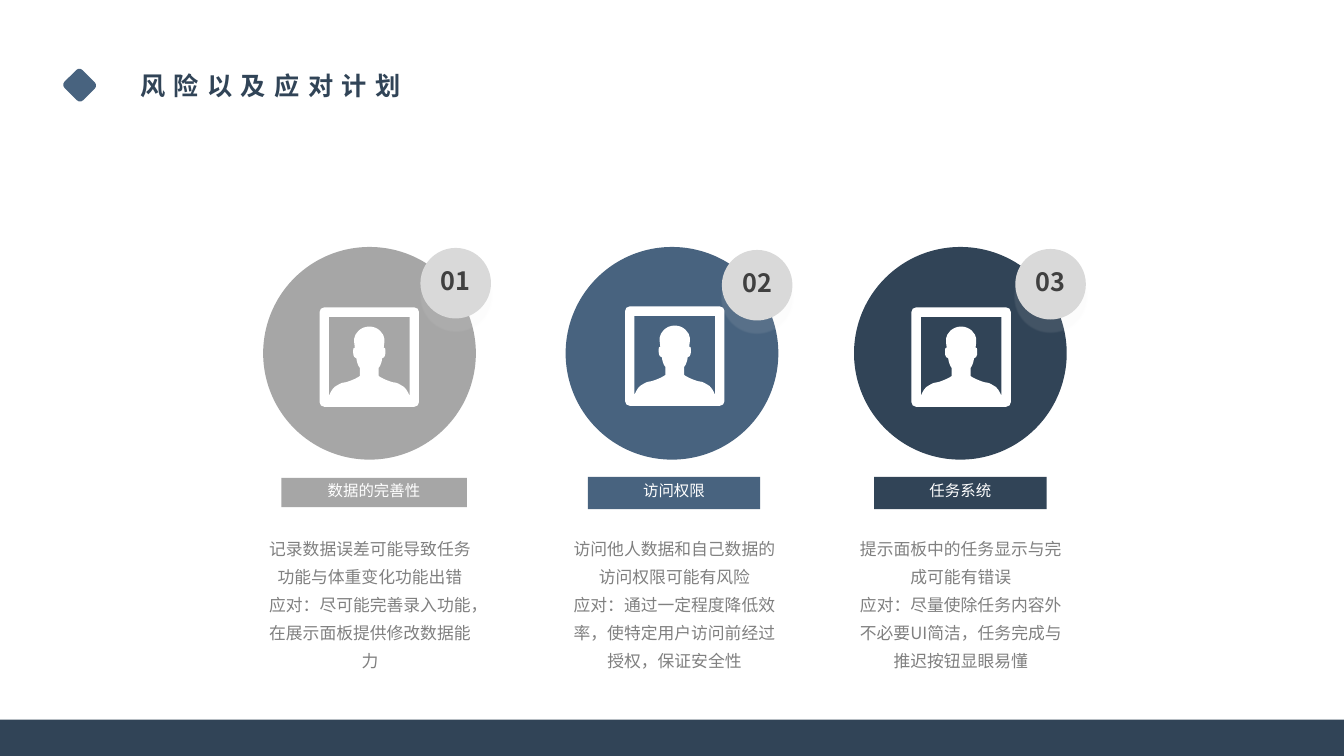
"""Builds a slide with three risks, each with its countermeasure."""
from lxml import etree
from pptx import Presentation
from pptx import util as u
from pptx.dml.color import RGBColor
from pptx.enum import shapes, text
from pptx.oxml import ns

FONT = "Noto Sans CJK SC"
NAVY, BLUE, GRAY = "314457", "48637F", "A6A6A6"
WHITE, SILVER, CHARCOAL, BODY = "FFFFFF", "D9D9D9", "404040", "808080"
ICON_WIDTH = 98.6

FRAME_HALF = [
    [(4.6, 0)], [(2, 0), (0, 2), (0, 4.6)], [(0, 94)],
    [(0, 96.6), (2, 98.6), (4.6, 98.6)],
]
BUST_HALF = [
    [(9.3, 9.3)], [(9.3, 87.7)],
    [(11, 84), (13, 79), (18, 77)], [(25, 73), (22, 76), (30, 73)],
    [(38, 70), (40, 68), (40, 68)], [(40, 60)],
    [(40, 60), (37.5, 58), (36.5, 50.5)], [(34.5, 51), (34, 48), (33.5, 47)],
    [(33.5, 45), (32.5, 39), (35, 40)], [(34.5, 36), (34, 33), (34.3, 31)],
    [(34.8, 26), (40.5, 19), (49.3, 19)],
]

RISKS = [
    dict(number="02", label="访问权限", color=BLUE, disc=(5.61, 2.45),
         badge=(7.16, 2.48), icon=(6.2, 3.04), banner=(5.83, 4.73, 1.71, 0.32),
         note=(5.59, 5.22, 2.2, 1.47),
         lines=["访问他人数据和自己数据的访问权限可能有风险",
                "应对：通过一定程度降低效率，使特定用户访问前经过授权，保证安全性"]),
    dict(number="03", label="任务系统", color=NAVY, disc=(8.47, 2.45),
         badge=(10.07, 2.47), icon=(9.04, 3.05), banner=(8.67, 4.73, 1.71, 0.32),
         note=(8.43, 5.22, 2.2, 1.47),
         lines=["提示面板中的任务显示与完成可能有错误",
                "应对：尽量使除任务内容外不必要UI简洁，任务完成与推迟按钮显眼易懂"]),
    dict(number="01", label="数据的完善性", color=GRAY, disc=(2.61, 2.45),
         badge=(4.17, 2.46), icon=(3.17, 3.05), banner=(2.79, 4.74, 1.84, 0.29),
         note=(2.57, 5.22, 2.2, 1.75),
         lines=["记录数据误差可能导致任务功能与体重变化功能出错",
                "应对：尽可能完善录入功能，在展示面板提供修改数据能力"]),
]


def rgb(value):
    """Return the colour of a hex string."""
    return RGBColor.from_string(value)


def set_all(target, values):
    """Set each attribute named in a dict of format values."""
    for name, value in values.items():
        setattr(target, name, value)


def paint(shape, color):
    """Give a shape a plain fill with no line and no shadow."""
    shape.fill.solid()
    shape.fill.fore_color.rgb = rgb(color)
    shape.line.fill.background()
    shape.shadow.inherit = False


def add_block(parent, kind, box, color):
    """Add a plain preset shape."""
    block = parent.shapes.add_shape(kind, *map(u.Inches, box))
    paint(block, color)
    return block


def write(shape, lines, size, color, bold=False, tracking=0, **paragraph_format):
    """Write one paragraph for each line of text."""
    frame = shape.text_frame
    for index, line in enumerate(lines):
        paragraph = frame.add_paragraph() if index else frame.paragraphs[0]
        set_all(paragraph, paragraph_format)
        run = paragraph.add_run()
        run.text = line
        run.font.color.rgb = rgb(color)
        set_all(run.font, dict(size=u.Pt(size), bold=bold, name=FONT))
        properties = run._r.get_or_add_rPr()
        properties.set("lang", "zh-CN")
        if tracking:
            properties.set("spc", str(tracking * 100))
        etree.SubElement(properties, ns.qn("a:ea"), typeface=FONT)


def set_frame(shape, insets, **values):
    """Set the insets, in inches, and other settings of a text frame."""
    sides = ("margin_left", "margin_top", "margin_right", "margin_bottom")
    set_all(shape.text_frame, dict(zip(sides, map(u.Inches, insets))))
    set_all(shape.text_frame, values)


def add_soft_shadow(shape):
    """Put a faint shadow below a shape."""
    effects = shape._element.spPr.find(ns.qn("a:effectLst"))
    shadow = etree.SubElement(
        effects, ns.qn("a:outerShdw"), blurRad=str(u.Pt(1)), dist=str(u.Pt(9)),
        dir="5400000", algn="t", rotWithShape="0")
    tint = etree.SubElement(shadow, ns.qn("a:srgbClr"), val="E7E6E6")
    etree.SubElement(tint, ns.qn("a:alpha"), val="9000")


def mirrored(half):
    """Return a start point and curve triples for a left half and its mirror."""
    left = list(half[0])
    for segment in half[1:]:
        left += segment if len(segment) == 3 else segment * 3
    right = [(ICON_WIDTH - x, y) for x, y in reversed(left)]
    bridge = [] if right[0] == left[-1] else right[:1] * 3
    return [(u.Inches(x / 100), u.Inches(y / 100))
            for x, y in left + bridge + right[1:]]


def bend(shape):
    """Turn each three line segments of an outline into one cubic curve."""
    lines = list(shape._element.iter(ns.qn("a:lnTo")))
    for first, second, third in zip(*[iter(lines)] * 3):
        first.tag = ns.qn("a:cubicBezTo")
        for extra in (second, third):
            first.append(extra[0])
            extra.getparent().remove(extra)


def add_portrait(parent, place):
    """Add a framed bust as one outline with a hole."""
    frame, bust = mirrored(FRAME_HALF), mirrored(BUST_HALF)
    builder = parent.shapes.build_freeform(*frame[0])
    builder.add_line_segments(frame[1:], close=False)
    builder.move_to(*bust[0])
    builder.add_line_segments(bust[1:])
    portrait = builder.convert_to_shape(*map(u.Inches, place))
    paint(portrait, WHITE)
    bend(portrait)


def add_risk(slide, risk):
    """Add the disc, badge, banner and portrait of one risk as a group."""
    oval, center = shapes.MSO_SHAPE.OVAL, text.PP_ALIGN.CENTER
    middle = text.MSO_ANCHOR.MIDDLE
    group = slide.shapes.add_group_shape()
    add_block(group, oval, (*risk["disc"], 2.11, 2.11), risk["color"])

    badge = add_block(group, oval, (*risk["badge"], 0.7, 0.7), SILVER)
    add_soft_shadow(badge)
    set_frame(badge, (0, 0, 0, 0.05), vertical_anchor=middle)
    write(badge, [risk["number"]], 18, CHARCOAL, bold=True, alignment=center)

    banner = add_block(group, shapes.MSO_SHAPE.RECTANGLE, risk["banner"], risk["color"])
    set_frame(banner, (0.13, 0.07, 0.13, 0.12), vertical_anchor=middle)
    write(banner, [risk["label"]], 11, WHITE, alignment=center)

    add_portrait(group, risk["icon"])


def add_note(slide, risk):
    """Add the description of one risk and its countermeasure."""
    note = slide.shapes.add_textbox(*map(u.Inches, risk["note"]))
    set_frame(note, (0.1, 0.05, 0.1, 0.05), word_wrap=True,
              auto_size=text.MSO_AUTO_SIZE.SHAPE_TO_FIT_TEXT)
    write(note, risk["lines"], 12, BODY, alignment=text.PP_ALIGN.CENTER,
          line_spacing=u.Pt(20))


def add_heading(parent, words):
    """Add the slide title with its diamond."""
    diamond = add_block(parent, shapes.MSO_SHAPE.ROUNDED_RECTANGLE,
                        (0.66, 0.72, 0.26, 0.25), BLUE)
    diamond.rotation = 45
    title = parent.shapes.add_textbox(*map(u.Inches, (1.29, 0.65, 2.89, 0.4)))
    set_frame(title, (0.1, 0.05, 0.1, 0.05), word_wrap=False,
              auto_size=text.MSO_AUTO_SIZE.SHAPE_TO_FIT_TEXT)
    write(title, [words], 18, NAVY, bold=True, tracking=6)


def main():
    """Build and save the slide."""
    deck = Presentation()
    set_all(deck, dict(slide_width=u.Inches(13.33), slide_height=u.Inches(7.5)))
    slide = deck.slides.add_slide(deck.slide_layouts[6])
    for risk in RISKS:
        add_risk(slide, risk)
    for risk in RISKS:
        add_note(slide, risk)
    surround = slide.shapes.add_group_shape()
    add_heading(surround, "风险以及应对计划")
    add_block(surround, shapes.MSO_SHAPE.RECTANGLE, (0, 7.14, 13.33, 0.36), NAVY)
    deck.save("out.pptx")


if __name__ == "__main__":
    main()
